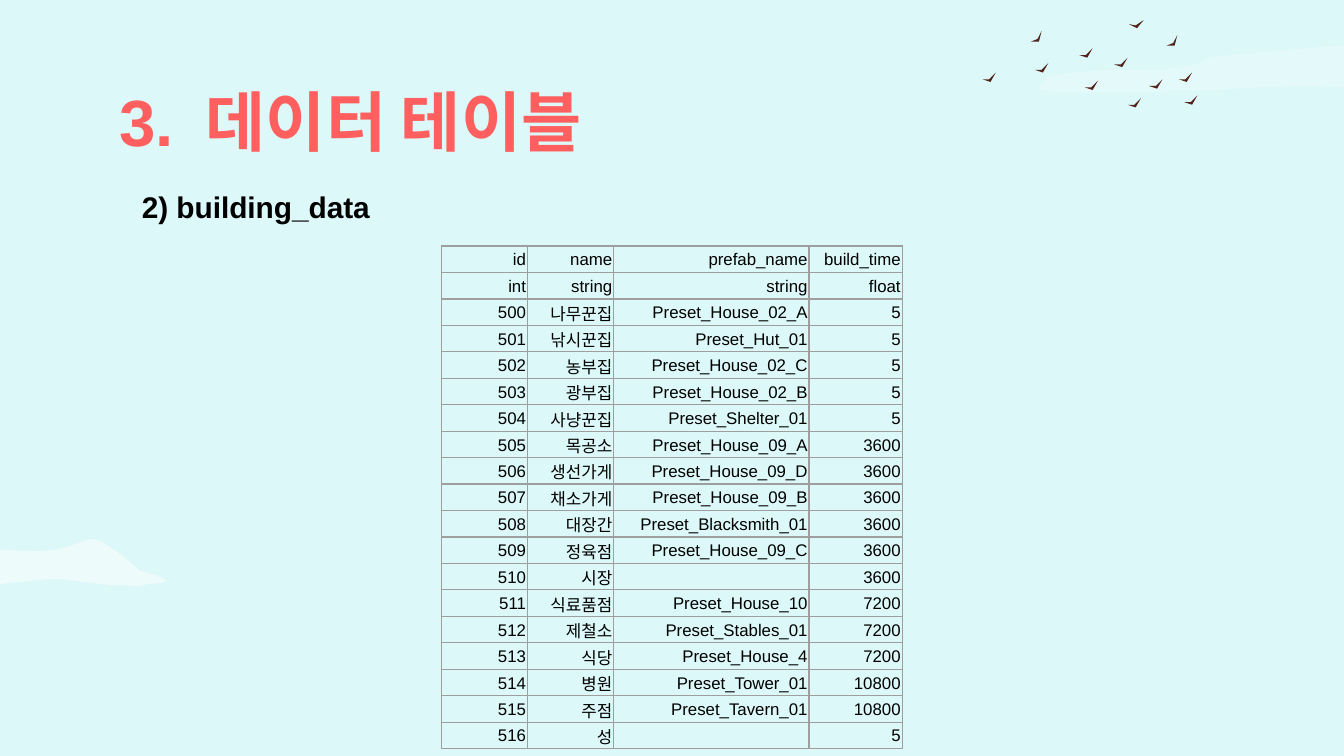
from lxml import etree
from pptx import Presentation
from pptx.dml.color import RGBColor
from pptx.enum.text import MSO_ANCHOR, MSO_AUTO_SIZE, PP_ALIGN
from pptx.oxml.ns import qn
from pptx.util import Cm, Pt

LEFT, RIGHT, MIDDLE = PP_ALIGN.LEFT, PP_ALIGN.RIGHT, MSO_ANCHOR.MIDDLE
FONT = "Arial"
COLORS = {"sky": "DCF8F8", "cloud": "FFFFFF", "bird": "51231B",
          "title": "FF5F5F", "text": "000000", "border": "9E9E9E"}

TITLE = ("3.", " ", "데이터 테이블")
SUBTITLE = "2) building_data"
HEADER = [("id", "name", "prefab_name", "build_time"),
          ("int", "string", "string", "float")]
FIRST_ID = 500
BUILDINGS = [
    ("나무꾼집", "Preset_House_02_A", 5),
    ("낚시꾼집", "Preset_Hut_01", 5),
    ("농부집", "Preset_House_02_C", 5),
    ("광부집", "Preset_House_02_B", 5),
    ("사냥꾼집", "Preset_Shelter_01", 5),
    ("목공소", "Preset_House_09_A", 3600),
    ("생선가게", "Preset_House_09_D", 3600),
    ("채소가게", "Preset_House_09_B", 3600),
    ("대장간", "Preset_Blacksmith_01", 3600),
    ("정육점", "Preset_House_09_C", 3600),
    ("시장", "", 3600),
    ("식료품점", "Preset_House_10", 7200),
    ("제철소", "Preset_Stables_01", 7200),
    ("식당", "Preset_House_4", 7200),
    ("병원", "Preset_Tower_01", 10800),
    ("주점", "Preset_Tavern_01", 10800),
    ("성", "", 5),
]
COL_WIDTHS = (1.63, 1.63, 3.69, 1.76)  # cm
ROW_HEIGHT = 0.5  # cm

# Decoration coordinates are in inches. Cloud: opacity %, start, Bezier segments
CLOUDS = [
    (25, (10.71, 0.24), [
        (10.68, 0.24, 10.65, 0.24, 10.63, 0.24), (10.48, 0.28, 10.23, 0.31, 10.09, 0.33),
        (9.94, 0.35, 9.84, 0.34, 9.61, 0.37), (9.39, 0.39, 9, 0.41, 8.96, 0.45),
        (8.92, 0.5, 8.64, 0.52, 8.39, 0.52), (8.15, 0.52, 7.77, 0.55, 7.78, 0.59),
        (7.78, 0.63, 7.55, 0.69, 8.04, 0.69), (8.54, 0.69, 8.91, 0.68, 9.39, 0.65),
        (9.49, 0.65, 9.59, 0.64, 9.68, 0.64), (10, 0.64, 10.23, 0.67, 10.43, 0.69),
        (10.62, 0.7, 10.73, 0.71, 10.9, 0.71), (10.97, 0.71, 11.04, 0.71, 11.12, 0.71),
        (11.43, 0.7, 11.49, 0.63, 11.52, 0.6), (11.54, 0.57, 11.49, 0.43, 11.45, 0.41),
        (11.41, 0.39, 11.27, 0.33, 11.27, 0.33), (11.11, 0.3, 10.87, 0.24, 10.71, 0.24)]),
    (50, (0.69, 4.01), [
        (0.69, 4.01, 0.69, 4.01, 0.7, 4.01), (0.78, 4.02, 1.01, 4.21, 1.04, 4.25),
        (1.04, 4.25, 1.45, 4.34, 1.09, 4.35), (1.06, 4.36, 1.03, 4.36, 1, 4.36),
        (0.7, 4.36, 0.56, 4.31, 0.42, 4.31), (0.27, 4.31, 0.07, 4.35, -0.08, 4.35),
        (-0.1, 4.35, -0.11, 4.35, -0.13, 4.35), (-0.28, 4.34, -0.51, 4.32, -0.66, 4.32),
        (-0.69, 4.32, -0.73, 4.32, -0.76, 4.32), (-0.88, 4.32, -1.02, 4.33, -1.15, 4.36),
        (-1.21, 4.37, -1.25, 4.38, -1.3, 4.38), (-1.38, 4.38, -1.47, 4.36, -1.66, 4.36),
        (-1.94, 4.36, -1.98, 4.28, -1.88, 4.25), (-1.81, 4.22, -1.41, 4.2, -1.14, 4.2),
        (-1.05, 4.2, -0.97, 4.21, -0.94, 4.21), (-0.92, 4.21, -0.91, 4.21, -0.9, 4.21),
        (-0.79, 4.21, -0.7, 4.12, -0.43, 4.1), (-0.33, 4.09, -0.25, 4.09, -0.17, 4.09),
        (-0.01, 4.09, 0.13, 4.1, 0.29, 4.1), (0.52, 4.1, 0.61, 4.01, 0.69, 4.01)]),
]
# Bird: outline, then the top-left corners where it flies
BIRDS = [
    ([(0.1, 0), (0.05, 0.05), (0, 0.05), (0.06, 0.07)],
     [(8.81, 0.71), (8.77, 0.54), (8.39, 0.73), (7.7, 0.47), (8.29, 0.43),
      (7.31, 0.54), (8.07, 0.6), (8.03, 0.36), (8.55, 0.59)]),
    ([(0.08, 0), (0.05, 0.06), (0, 0.08), (0.06, 0.08)], [(8.68, 0.26), (7.67, 0.23)]),
    ([(0.11, 0), (0.05, 0.04), (0, 0.03), (0.06, 0.06)], [(8.4, 0.15)]),
]


def rgb(name):
    return RGBColor.from_string(COLORS[name])


def set_font(p, size, color, bold=False):
    p.font.name, p.font.size, p.font.bold = FONT, Pt(size), bold
    p.font.color.rgb = rgb(color)


def curve_points(start, segments, steps=6):
    points = [start]
    for x1, y1, x2, y2, x3, y3 in segments:
        x0, y0 = points[-1]
        for i in range(1, steps + 1):
            t = i / steps
            u = 1 - t
            points.append(tuple(
                u**3 * a + 3 * u * u * t * b + 3 * u * t * t * c + t**3 * d
                for a, b, c, d in ((x0, x1, x2, x3), (y0, y1, y2, y3))))
    return points


def add_outline(shapes, points, color):
    points = [(Cm(x * 2.54), Cm(y * 2.54)) for x, y in points]
    builder = shapes.build_freeform(*points[0])
    builder.add_line_segments(points[1:], close=True)
    sp = builder.convert_to_shape()
    sp.shadow.inherit = False
    sp.fill.solid()
    sp.fill.fore_color.rgb = rgb(color)
    sp.line.fill.background()
    return sp


def add_borders(cell):
    tcPr = cell._tc.get_or_add_tcPr()
    for side in ("lnL", "lnR", "lnT", "lnB"):
        ln = etree.SubElement(tcPr, qn("a:" + side), w=str(Pt(0.75)))
        fill = etree.SubElement(ln, qn("a:solidFill"))
        etree.SubElement(fill, qn("a:srgbClr"), val=COLORS["border"])


prs = Presentation()
prs.slide_width, prs.slide_height = Cm(25.4), Cm(14.29)
s = prs.slides.add_slide(prs.slide_layouts[5])
s.background.fill.solid()
s.background.fill.fore_color.rgb = rgb("sky")

# Clouds
for opacity, start, segments in CLOUDS:
    sp = add_outline(s.shapes, curve_points(start, segments), "cloud")
    color = sp._element.spPr.find(qn("a:solidFill"))[0]
    etree.SubElement(color, qn("a:alpha"), val=str(opacity * 1000))

# Birds
flock = s.shapes.add_group_shape()
for outline, corners in BIRDS:
    for x, y in corners:
        add_outline(flock.shapes, [(x + dx, y + dy) for dx, dy in outline], "bird")

# Title, in front of the scenery
title = s.shapes.title
s.shapes._spTree.append(title._element)
title.left, title.top, title.width, title.height = Cm(2), Cm(1.47), Cm(21.36), Cm(1.6)
tf = title.text_frame
tf.auto_size, tf.vertical_anchor = MSO_AUTO_SIZE.NONE, MIDDLE
tf.margin_left = tf.margin_right = tf.margin_top = tf.margin_bottom = Cm(0.25)
p = tf.paragraphs[0]
p.alignment = LEFT
set_font(p, 35, "title", True)
for text in TITLE:
    r = p.add_run()
    r.text = text
    if text == " ":
        r._r.get_or_add_rPr().set("spc", "750")  # wider gap after the number

# Subtitle
tf = s.shapes.add_textbox(Cm(2), Cm(3.45), Cm(5.36), Cm(0.94)).text_frame
tf.word_wrap, tf.auto_size = False, MSO_AUTO_SIZE.SHAPE_TO_FIT_TEXT
p = tf.paragraphs[0]
p.text = SUBTITLE
set_font(p, 16, "text", True)
p._p.get_or_add_pPr().set("marL", str(Cm(0.43)))

# Building table
rows = HEADER + [(FIRST_ID + i, *b) for i, b in enumerate(BUILDINGS)]
table = s.shapes.add_table(len(rows), len(COL_WIDTHS), Cm(8.34), Cm(4.65),
                           Cm(sum(COL_WIDTHS)), Cm(ROW_HEIGHT * len(rows))).table
table.first_row = table.horz_banding = False
for column, width in zip(table.columns, COL_WIDTHS):
    column.width = Cm(width)
for i, values in enumerate(rows):
    table.rows[i].height = Cm(ROW_HEIGHT)
    for j, value in enumerate(values):
        cell = table.cell(i, j)
        cell.margin_left = cell.margin_right = cell.margin_top = Cm(0.03)
        cell.margin_bottom = 0
        cell.vertical_anchor = MIDDLE
        add_borders(cell)
        cell.fill.background()
        p = cell.text_frame.paragraphs[0]
        p.text = str(value)
        p.alignment = RIGHT
        set_font(p, 9, "text")
        if not value:
            p._p.get_or_add_endParaRPr().set("sz", "900")

prs.save("out.pptx")
